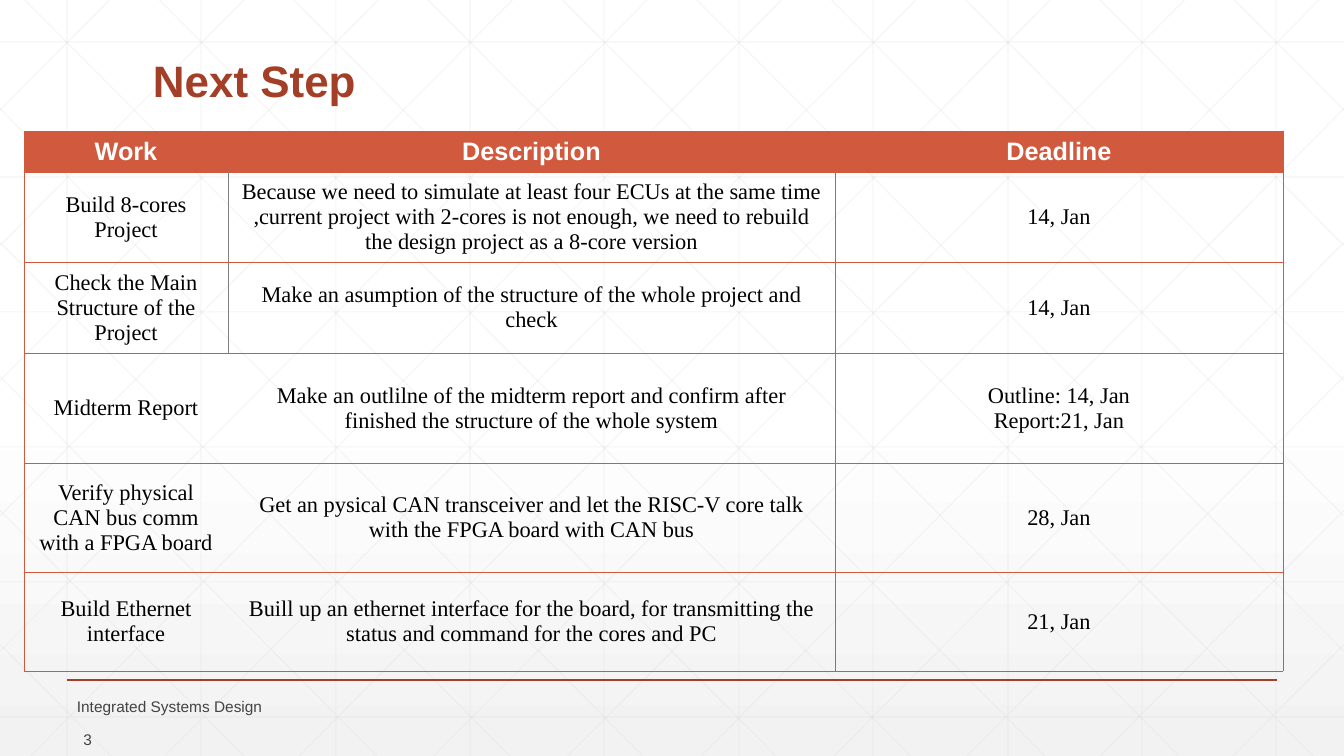
from lxml.etree import SubElement
from pptx import Presentation
from pptx.dml.color import RGBColor
from pptx.enum.shapes import MSO_CONNECTOR
from pptx.enum.text import MSO_ANCHOR, PP_ALIGN
from pptx.oxml.ns import qn
from pptx.util import Emu, Pt

WIDTH, HEIGHT = 1344, 756
SCALE = 12192000 / WIDTH
WHITE = RGBColor(0xFF, 0xFF, 0xFF)
BLACK = RGBColor(0x00, 0x00, 0x00)
PALE = RGBColor(0xF2, 0xF2, 0xF2)
GRID = RGBColor(0xD9, 0xD9, 0xD9)
GRAY = RGBColor(0x80, 0x80, 0x80)
DARK_GRAY = RGBColor(0x42, 0x43, 0x42)
RUST = RGBColor(0xA4, 0x3F, 0x27)
ORANGE = RGBColor(0xD1, 0x5A, 0x3E)

COLUMN_WIDTHS = [204, 607, 448]
ROW_HEIGHTS = [41, 85, 85, 110, 109, 99]
ROWS = [
    ("Work", "Description", "Deadline"),
    ("Build 8-cores Project",
     "Because we need to simulate at least four ECUs at the same time "
     ",current project with 2-cores is not enough, we need to rebuild "
     "the design project as a 8-core version",
     "14, Jan"),
    ("Check the Main Structure of the Project",
     "Make an asumption of the structure of the whole project and check",
     "14, Jan"),
    ("Midterm Report",
     "Make an outlilne of the midterm report and confirm after "
     "finished the structure of the whole system",
     "Outline: 14, Jan\nReport:21, Jan"),
    ("Verify physical CAN bus comm with a FPGA board",
     "Get an pysical CAN transceiver and let the RISC-V core talk "
     "with the FPGA board with CAN bus",
     "28, Jan"),
    ("Build Ethernet interface",
     "Buill up an ethernet interface for the board, for transmitting the "
     "status and command for the cores and PC",
     "21, Jan"),
]


def px(length):
    """Turn pixels into EMU."""
    return Emu(round(length * SCALE))


def set_font(paragraph, name, size, color, bold=False):
    """Set the font of a whole paragraph."""
    font = paragraph.font
    font.name, font.size, font.bold = name, Pt(size), bold
    font.color.rgb = color


def add_line(slide, start, end, color, width, opacity=100):
    """Draw a straight line without a shadow."""
    line = slide.shapes.add_connector(
        MSO_CONNECTOR.STRAIGHT, *map(px, start + end))
    line.line.color.rgb = color
    line.line.width = Pt(width)
    properties = line._element.spPr
    if opacity < 100:
        fill_color = properties.find(".//" + qn("a:srgbClr"))
        SubElement(fill_color, qn("a:alpha"), val=str(opacity * 1000))
    SubElement(properties, qn("a:effectLst"))


def add_text(slide, text, box, size, color, bold=False, align=PP_ALIGN.LEFT):
    """Add one line of vertically centred text and return its paragraph."""
    frame = slide.shapes.add_textbox(*map(px, box)).text_frame
    frame.word_wrap = True
    frame.vertical_anchor = MSO_ANCHOR.MIDDLE
    paragraph = frame.paragraphs[0]
    paragraph.text = text
    paragraph.alignment = align
    set_font(paragraph, "Arial", size, color, bold)
    return paragraph


def add_background(slide):
    """Fill the background with a gradient from white to pale gray."""
    fill = slide.background.fill
    fill.gradient()
    fill.gradient_angle = 270
    for stop, position, color in zip(
            fill.gradient_stops, (0.53, 1), (WHITE, PALE)):
        stop.position = position
        stop.color.rgb = color


def add_grid(slide):
    """Draw the faint grid with its mirrored diagonals."""
    lines = []
    for column in range(10):
        x = WIDTH * (2 * column + 1) // 20
        lines.append(((x, 0), (x, HEIGHT)))
    for y in range(42, HEIGHT, 135):
        lines.append(((0, y), (WIDTH, y)))
    run = 751
    slope = HEIGHT / run
    for index in range(-5, 10):
        x = 25 + index * (WIDTH / 10 if index >= 0 else 133)
        left, right = max(x, 0), min(x + run, WIDTH)
        top, bottom = (left - x) * slope, (right - x) * slope
        lines.append(((left, top), (right, bottom)))
        lines.append(((WIDTH - left, top), (WIDTH - right, bottom)))
    for start, end in lines:
        add_line(slide, start, end, GRID, 0.75, 25)


def set_borders(cell, left, right, top, bottom):
    """Give the cell thin borders, with None for no border."""
    properties = cell._tc.get_or_add_tcPr()
    sides = zip(("a:lnL", "a:lnR", "a:lnT", "a:lnB"),
                (left, right, top, bottom))
    for position, (tag, color) in enumerate(sides):
        border = SubElement(properties, qn(tag), w=str(Pt(0.5)))
        properties.insert(position, border)
        if color is None:
            SubElement(border, qn("a:noFill"))
        else:
            fill = SubElement(border, qn("a:solidFill"))
            SubElement(fill, qn("a:srgbClr"), val=str(color))


def vertical_edges(row):
    """Return the colours of the four vertical edges in a row."""
    if row == 0:
        return [ORANGE, None, None, ORANGE]
    return [ORANGE, GRAY if row < 3 else None, ORANGE, ORANGE]


def fill_cell(cell, text, is_header):
    """Write and style one cell."""
    cell.text = text
    cell.vertical_anchor = MSO_ANCHOR.MIDDLE
    cell.margin_left = cell.margin_right = px(13)
    cell.margin_top = cell.margin_bottom = px(5)
    if is_header:
        cell.fill.solid()
        cell.fill.fore_color.rgb = ORANGE
    else:
        cell.fill.background()
    for paragraph in cell.text_frame.paragraphs:
        paragraph.alignment = PP_ALIGN.CENTER
        if is_header:
            set_font(paragraph, "Arial", 18, WHITE, True)
        else:
            set_font(paragraph, "Times New Roman", 16, BLACK)


def add_schedule(slide):
    """Add the table of work, descriptions and deadlines."""
    table = slide.shapes.add_table(
        len(ROWS), len(COLUMN_WIDTHS), px(24), px(131),
        px(sum(COLUMN_WIDTHS)), px(sum(ROW_HEIGHTS))).table
    table.first_row = table.horz_banding = False
    for column, width in zip(table.columns, COLUMN_WIDTHS):
        column.width = px(width)
    for index, (texts, height) in enumerate(zip(ROWS, ROW_HEIGHTS)):
        table.rows[index].height = px(height)
        edges = vertical_edges(index)
        for column, text in enumerate(texts):
            cell = table.cell(index, column)
            fill_cell(cell, text, index == 0)
            set_borders(cell, edges[column], edges[column + 1],
                        ORANGE, ORANGE)


def main():
    """Build the slide and save it."""
    presentation = Presentation()
    presentation.slide_width = px(WIDTH)
    presentation.slide_height = px(HEIGHT)
    slide = presentation.slides.add_slide(presentation.slide_layouts[6])
    add_background(slide)
    add_grid(slide)
    add_line(slide, (67, 680), (1277, 680), RUST, 1)
    title = add_text(slide, "Next Step", (143, 55, 1058, 57), 31.4, RUST, True)
    title.line_spacing = 0.9
    add_schedule(slide)
    add_text(slide, "Integrated Systems Design", (67, 694, 675, 24),
             11, DARK_GRAY)
    add_text(slide, "3", (1, 727, 101, 24), 11, DARK_GRAY,
             align=PP_ALIGN.RIGHT)
    presentation.save("out.pptx")


if __name__ == "__main__":
    main()
